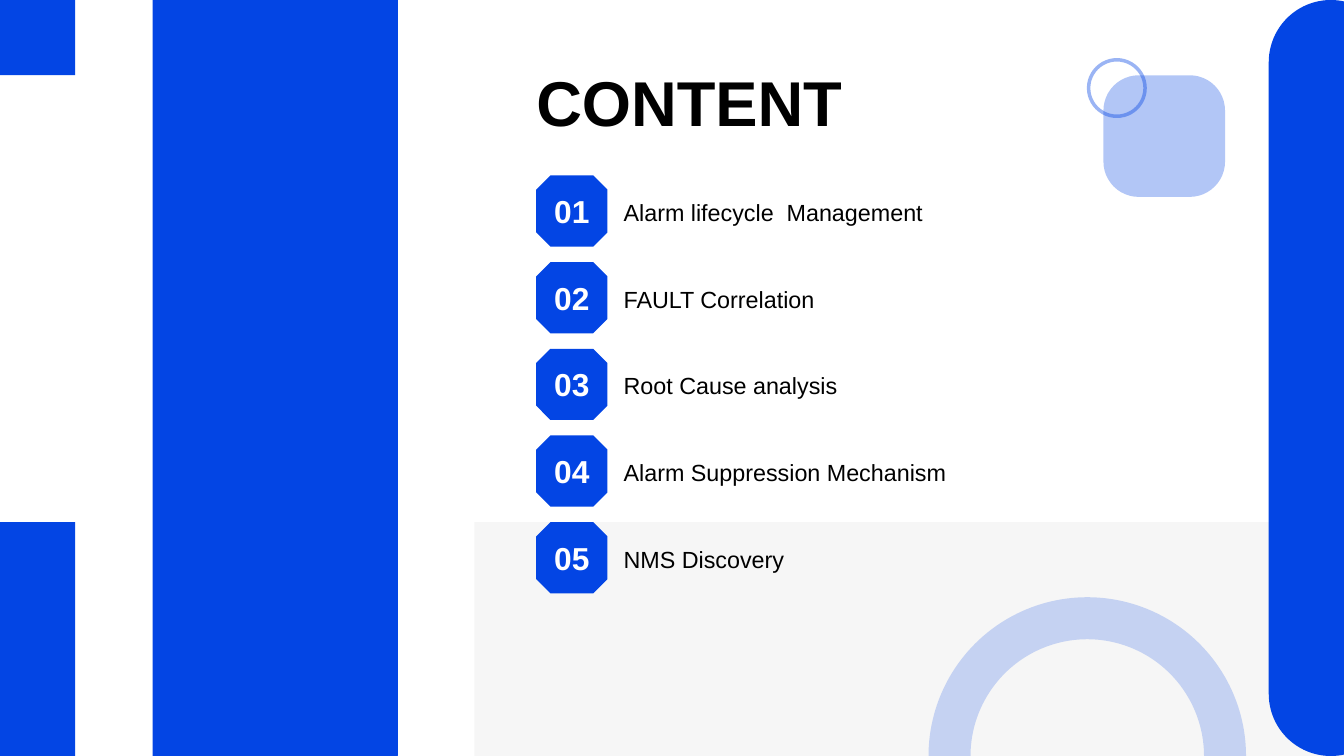
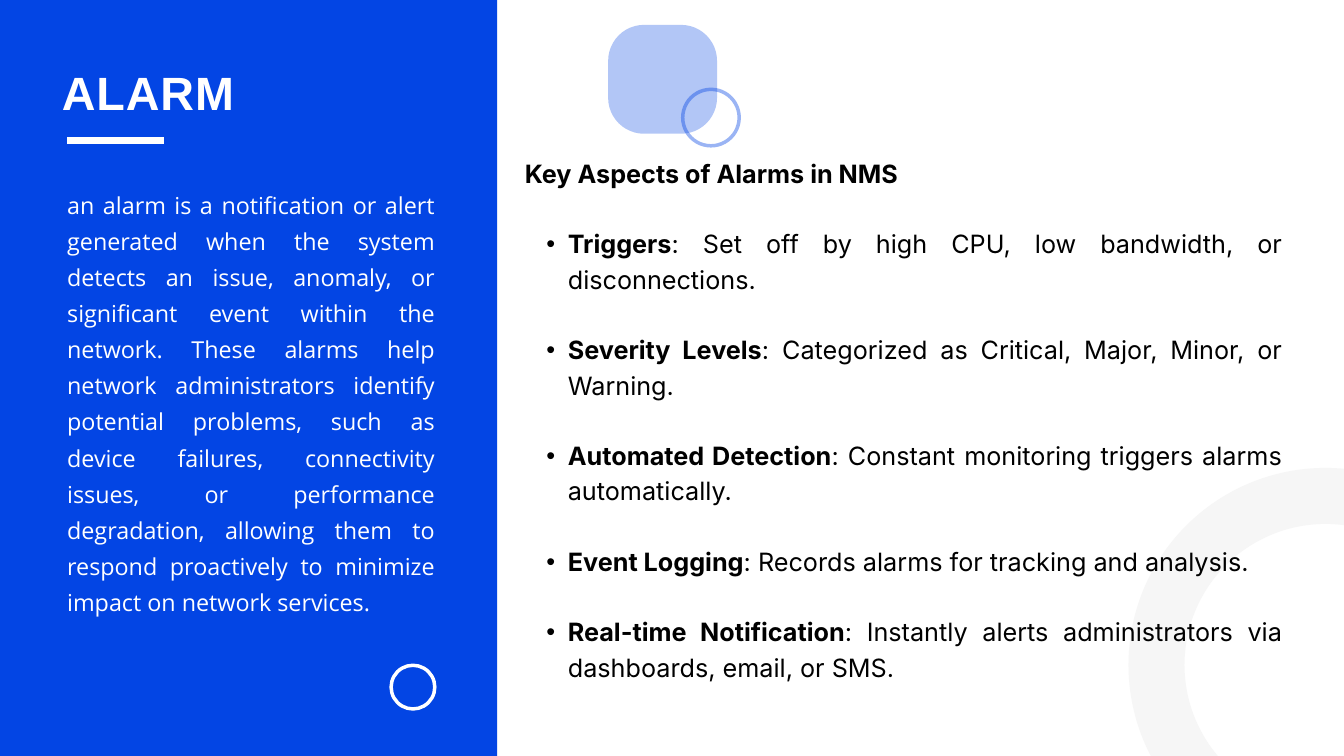
from dataclasses import dataclass
from typing import Any, Optional

from lxml import etree
from pptx import Presentation
from pptx.dml.color import RGBColor
from pptx.enum.shapes import MSO_CONNECTOR, MSO_SHAPE
from pptx.enum.text import MSO_ANCHOR, MSO_AUTO_SIZE, PP_ALIGN
from pptx.oxml.ns import qn
from pptx.util import Inches, Pt

BLUE = RGBColor(0x03, 0x45, 0xE4)
GREY = RGBColor(0xF6, 0xF6, 0xF6)
BLACK = RGBColor(0x00, 0x00, 0x00)
WHITE = RGBColor(0xFF, 0xFF, 0xFF)

RECT = MSO_SHAPE.RECTANGLE
ROUND = MSO_SHAPE.ROUNDED_RECTANGLE
OVAL = MSO_SHAPE.OVAL
OCTAGON = MSO_SHAPE.OCTAGON
STRAIGHT = MSO_CONNECTOR.STRAIGHT
TOP = MSO_ANCHOR.TOP
MIDDLE = MSO_ANCHOR.MIDDLE
FIXED = MSO_AUTO_SIZE.NONE
LEFT = PP_ALIGN.LEFT
CENTER = PP_ALIGN.CENTER
FULL = PP_ALIGN.JUSTIFY

WIDE, HIGH = Inches(20), Inches(11.25)
COLS, ROWS = 20, 11.25
COL, ROW = WIDE / COLS, HIGH / ROWS

BADGE = 1.06
PITCH = 1.29
START = 2.61
LINE = 35
STEP = 37.8

TOPICS = (
    "Alarm lifecycle  Management",
    "FAULT Correlation",
    "Root Cause analysis",
    "Alarm Suppression Mechanism",
    "NMS Discovery",
)
ABOUT = (
    "an alarm is a notification or alert generated when the system detects "
    "an issue, anomaly, or significant event within the network. These "
    "alarms help network administrators identify potential problems, such "
    "as device failures, connectivity issues, or performance degradation, "
    "allowing them to respond proactively to minimize impact on network "
    "services."
)
ASPECTS = (
    ("Triggers", "Set off by high CPU, low bandwidth, or disconnections."),
    ("Severity Levels", "Categorized as Critical, Major, Minor, or Warning."),
    ("Automated Detection", "Constant monitoring triggers alarms automatically."),
    ("Event Logging", "Records alarms for tracking and analysis."),
    ("Real-time Notification",
     "Instantly alerts administrators via dashboards, email, or SMS."),
)


@dataclass(frozen=True)
class Box:
    left: float
    top: float
    wide: float
    high: float

    def spans(self) -> tuple[int, int, int, int]:
        return (int(self.left * COL), int(self.top * ROW),
                int(self.wide * COL), int(self.high * ROW))


@dataclass(frozen=True)
class Block:
    box: Box
    kind: Any = RECT
    color: RGBColor = BLUE
    bend: Optional[float] = None
    alpha: int = 100


@dataclass(frozen=True)
class Ring:
    left: float
    top: float
    size: float
    width: float
    color: RGBColor = BLUE
    alpha: int = 100


def fade(shape: Any, alpha: int) -> None:
    if alpha < 100:
        for tint in shape.element.spPr.iter(qn("a:srgbClr")):
            etree.SubElement(tint, qn("a:alpha")).set("val", str(alpha * 1000))


def draw_block(slide: Any, block: Block) -> Any:
    shape = slide.shapes.add_shape(block.kind, *block.box.spans())
    shape.shadow.inherit = False
    if block.bend is not None:
        shape.adjustments[0] = block.bend
    shape.fill.solid()
    shape.fill.fore_color.rgb = block.color
    shape.line.fill.background()
    fade(shape, block.alpha)
    return shape


def draw_ring(slide: Any, ring: Ring) -> None:
    box = Box(ring.left, ring.top, ring.size, ring.size)
    shape = slide.shapes.add_shape(OVAL, *box.spans())
    shape.shadow.inherit = False
    shape.fill.background()
    shape.line.color.rgb = ring.color
    shape.line.width = Pt(ring.width)
    fade(shape, ring.alpha)


def draw_rule(slide: Any, left: float, right: float, row: float) -> None:
    rule = slide.shapes.add_connector(
        STRAIGHT, int(left * COL), int(row * ROW), int(right * COL), int(row * ROW))
    rule.line.color.rgb = WHITE
    rule.line.width = Pt(7.5)
    etree.SubElement(rule.element.spPr, qn("a:effectLst"))


def draw_all(slide: Any, parts: tuple) -> None:
    for part in parts:
        if isinstance(part, Ring):
            draw_ring(slide, part)
        else:
            draw_block(slide, part)


def set_frame(shape: Any, anchor: Any = TOP, base: float = 0) -> Any:
    frame = shape.text_frame
    frame.word_wrap = True
    frame.auto_size = FIXED
    frame.vertical_anchor = anchor
    frame.margin_left = frame.margin_right = frame.margin_top = 0
    frame.margin_bottom = Inches(base)
    return frame


def place(slide: Any, holder: Any, box: Box) -> Any:
    holder.left, holder.top, holder.width, holder.height = box.spans()
    slide.shapes.element.append(holder.element)
    return set_frame(holder)


def next_line(frame: Any, first: bool) -> Any:
    return frame.paragraphs[0] if first else frame.add_paragraph()


def write(para: Any, text: str, *, size: float, line: float, color: RGBColor = BLACK,
          font: str = "Arial", bold: bool = False, align: Any = LEFT,
          gap: float = 0, track: int = 0) -> None:
    para.alignment = align
    para.line_spacing = Pt(line)
    para.space_before = Pt(0)
    para.space_after = Pt(gap)
    run = para.add_run()
    run.text = text
    run.font.name = font
    run.font.size = Pt(size)
    run.font.bold = bold
    run.font.color.rgb = color
    if track:
        run.font._element.set("spc", str(track * 100))


def set_mark(para: Any, sign: str = "") -> None:
    props = para._p.get_or_add_pPr()
    props.set("marL", str(Inches(0.64) if sign else 0))
    props.set("indent", str(Inches(-0.32) if sign else 0))
    if sign:
        etree.SubElement(props, qn("a:buFont")).set("typeface", "Arial")
        etree.SubElement(props, qn("a:buChar")).set("char", sign)
    else:
        etree.SubElement(props, qn("a:buNone"))


def build_content(deck: Any) -> None:
    slide = deck.slides.add_slide(deck.slide_layouts[1])
    floor = START + 4 * PITCH
    rest = ROWS - floor
    draw_all(slide, (
        Block(Box(7.06, floor, COLS - 7.06, rest), color=GREY),
        Block(Box(18.88, 0, 1.85, ROWS), ROUND, bend=0.5),
        Block(Box(0, floor, 1.12, rest)),
        Block(Box(0, 0, 1.12, 1.12)),
        Block(Box(16.42, 1.12, 1.81, 1.81), ROUND, bend=0.29, alpha=30),
        Ring(16.2, 0.89, 0.84, 3.75, alpha=40),
        Ring(14.13, 9.2, 4.1, 45, alpha=20),
        Block(Box(2.27, -0.52, 3.65, 12.22), ROUND, bend=0.13),
    ))
    title = place(slide, slide.shapes.title, Box(7.98, 0.76, 8.2, 1.26))
    write(title.paragraphs[0], "CONTENT", size=67.8, line=94.9, bold=True)
    body = place(slide, slide.placeholders[1], Box(9.28, 2.88, 8.04, 5.63))
    for turn, topic in enumerate(TOPICS):
        badge = draw_block(slide, Block(
            Box(7.98, START + turn * PITCH, BADGE, BADGE), OCTAGON, bend=0.2))
        frame = set_frame(badge, MIDDLE, 0.1)
        write(frame.paragraphs[0], f"{turn + 1:02}", size=34, line=47.6,
              color=WHITE, bold=True, align=CENTER)
        para = next_line(body, turn == 0)
        write(para, topic, size=25, line=LINE, gap=PITCH * 72 - LINE)
        set_mark(para)


def build_alarm(deck: Any) -> None:
    slide = deck.slides.add_slide(deck.slide_layouts[1])
    draw_all(slide, (
        Block(Box(0, 0, 7.4, ROWS)),
        Ring(17.21, 7.38, 5.03, 60, GREY),
        Block(Box(9.05, 0.37, 1.62, 1.62), ROUND, bend=0.33, alpha=30),
        Ring(10.16, 1.33, 0.84, 3.75, alpha=40),
        Ring(5.82, 9.9, 0.65, 3.75, WHITE),
    ))
    draw_rule(slide, 1, 2.44, 2.09)
    title = place(slide, slide.shapes.title, Box(0.92, 0.81, 5, 0.93))
    write(title.paragraphs[0], "ALARM", size=50, line=70, color=WHITE,
          bold=True, track=1)
    about = set_frame(slide.shapes.add_textbox(*Box(1, 2.72, 5.47, 6.35).spans()))
    write(about.paragraphs[0], ABOUT, size=25, line=38.7, color=WHITE,
          font="Open Sans", align=FULL)
    body = place(slide, slide.placeholders[1], Box(7.81, 2.28, 11.27, 8.83))
    style = dict(size=27, line=STEP, font="Inter", align=FULL, gap=STEP)
    head = body.paragraphs[0]
    write(head, "Key Aspects of Alarms in NMS", bold=True, **style)
    set_mark(head)
    for name, note in ASPECTS:
        para = next_line(body, False)
        write(para, name, bold=True, **style)
        write(para, f": {note}", **style)
        set_mark(para, "•")


def main() -> None:
    deck = Presentation()
    deck.slide_width, deck.slide_height = WIDE, HIGH
    build_content(deck)
    build_alarm(deck)
    deck.save("out.pptx")


if __name__ == "__main__":
    main()
